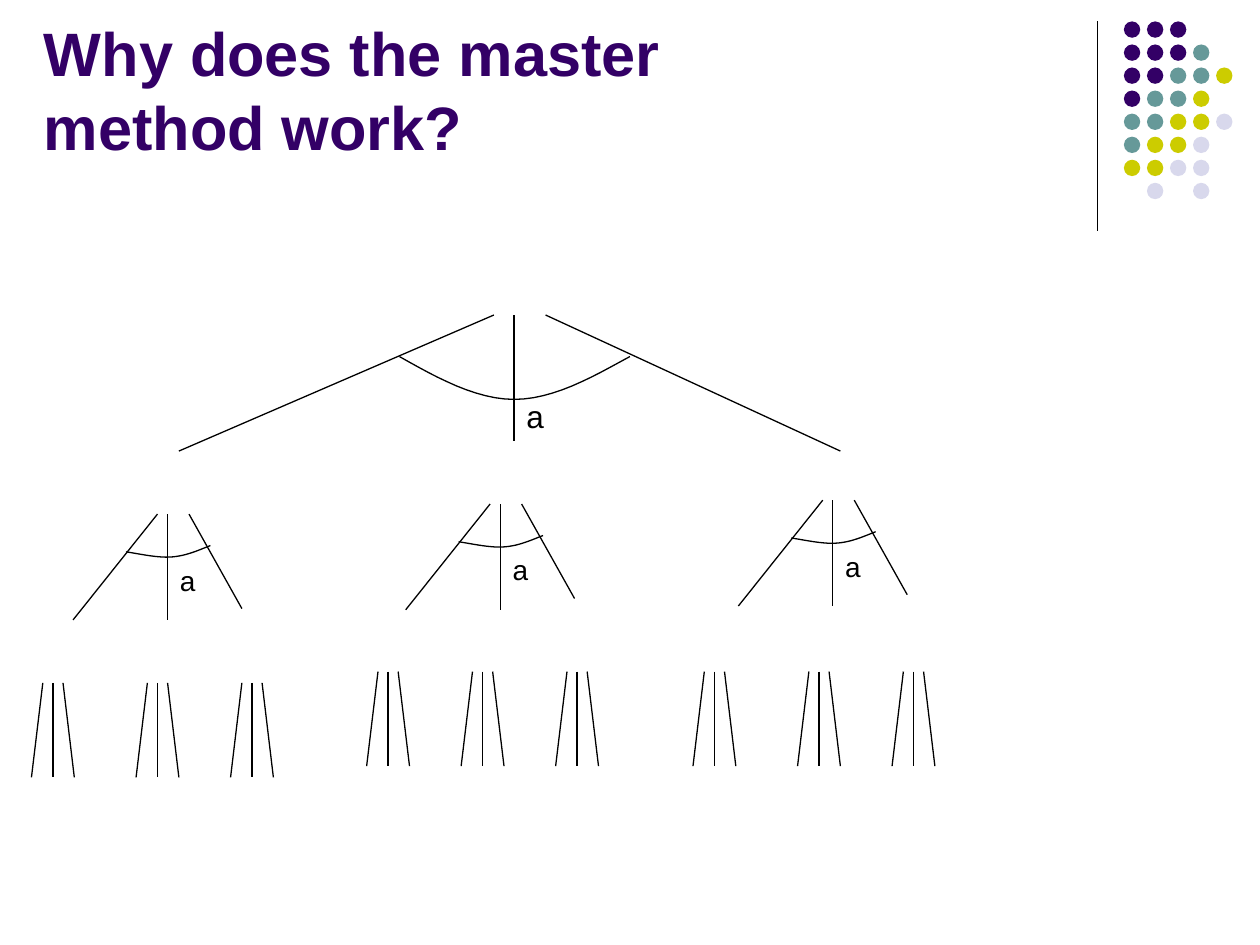
from lxml import etree
from pptx import Presentation
from pptx import util as u
from pptx.dml.color import RGBColor
from pptx.enum import shapes, text
from pptx.oxml.ns import qn

TITLE = "Why does the master\vmethod work?"
FONT = "Arial"
COLORS = {"ink": "000000", "P": "330066", "T": "669999", "Y": "CCCC00", "L": "D8D8EC"}
DOTS = ["PPP", "PPPT", "PPTTY", "PTTY", "TTYYL", "TYYL", "YYLL", " L L"]
DOT_LEFT, DOT_TOP, DOT_STEP, DOT_SIZE = 8.92, 0.17, 0.183, 0.13

ROOT = {
    "branches": [(-0.16, 0, -2.66, 1.08), (0, 0, 0, 1), (0.25, 0, 2.59, 1.08)],
    "arc": [(-0.91, 0.33), (-0.61, 0.5), (-0.3, 0.67), (0, 0.67),
            (0.31, 0.67), (0.61, 0.5), (0.92, 0.33)],
    "label": ("a", 0.6, 0.4, 18),
}
CHILD = {
    "branches": [(-0.08, 0, -0.75, 0.84), (0, 0, 0, 0.84), (0.17, 0, 0.59, 0.75)],
    "arc": [(-0.33, 0.3), (-0.2, 0.32), (-0.07, 0.35), (0.04, 0.34),
            (0.15, 0.33), (0.24, 0.29), (0.34, 0.25)],
    "label": ("a", 0.34, 0.37, 16),
}
LEAF = {"branches": [(-0.08, 0, -0.17, 0.75), (0, 0, 0, 0.75), (0.08, 0, 0.17, 0.75)]}
TREE = [
    (ROOT, 2.5, [4.08]),
    (CHILD, 4.08, [1.33]),
    (CHILD, 4, [3.97]),
    (CHILD, 3.97, [6.61]),
    (LEAF, 5.42, [0.42, 1.25, 2]),
    (LEAF, 5.33, [3.08, 3.83, 4.58, 5.67, 6.5, 7.25]),
]
ARC_STEPS = 12


def color(key):
    return RGBColor.from_string(COLORS[key])


def style_line(sp):
    sp.line.color.rgb = color("ink")
    sp.line.width = u.Pt(0.75)


def add_line(s, *ends):
    c = s.shapes.add_connector(shapes.MSO_CONNECTOR.STRAIGHT, *map(u.Inches, ends))
    style_line(c)
    etree.SubElement(c._element.spPr, qn("a:effectLst"))


def add_text(s, box, words, size, key, bold=False, anchor=text.MSO_ANCHOR.TOP):
    tf = s.shapes.add_textbox(*map(u.Inches, box)).text_frame
    tf.word_wrap = True
    tf.vertical_anchor = anchor
    tf.text = words
    for r in tf.paragraphs[0].runs:
        r.font.name, r.font.size, r.font.bold = FONT, u.Pt(size), bold
        r.font.color.rgb = color(key)


def bezier(a, b, c, d, t):
    w = 1 - t
    return tuple(w**3 * i + 3 * w * w * t * j + 3 * w * t * t * k + t**3 * l
                 for i, j, k, l in zip(a, b, c, d))


def add_arc(s, x, y, points):
    pts = [(u.Inches(x + dx), u.Inches(y + dy)) for dx, dy in points]
    curve = [bezier(*pts[i:i + 4], n / ARC_STEPS)
             for i in (0, 3) for n in range(1, ARC_STEPS + 1)]
    fb = s.shapes.build_freeform(*pts[0])
    fb.add_line_segments(curve, close=False)
    sp = fb.convert_to_shape()
    sp.shadow.inherit = False
    sp.fill.background()
    style_line(sp)


def add_dots(s):
    for row, keys in enumerate(DOTS):
        for col, key in enumerate(keys):
            if key == " ":
                continue
            box = (DOT_LEFT + col * DOT_STEP, DOT_TOP + row * DOT_STEP, DOT_SIZE, DOT_SIZE)
            sp = s.shapes.add_shape(shapes.MSO_SHAPE.OVAL, *map(u.Inches, box))
            sp.shadow.inherit = False
            sp.fill.solid()
            sp.fill.fore_color.rgb = color(key)
            sp.line.fill.background()


def add_node(s, node, x, y):
    for x1, y1, x2, y2 in node["branches"]:
        add_line(s, x + x1, y + y1, x + x2, y + y2)
    if "arc" in node:
        add_arc(s, x, y, node["arc"])
        words, dy, height, size = node["label"]
        add_text(s, (x, y + dy, 0.42, height), words, size, "ink")


def main():
    prs = Presentation()
    prs.slide_width, prs.slide_height = u.Inches(10), u.Inches(7.5)
    s = prs.slides.add_slide(prs.slide_layouts[6])
    add_line(s, 8.71, 0.17, 8.71, 1.83)
    add_dots(s)
    add_text(s, (0.25, -0.08, 8.25, 1.42), TITLE, 35, "P", True, text.MSO_ANCHOR.BOTTOM)
    for node, y, centers in TREE:
        for x in centers:
            add_node(s, node, x, y)
    prs.save("out.pptx")


if __name__ == "__main__":
    main()
